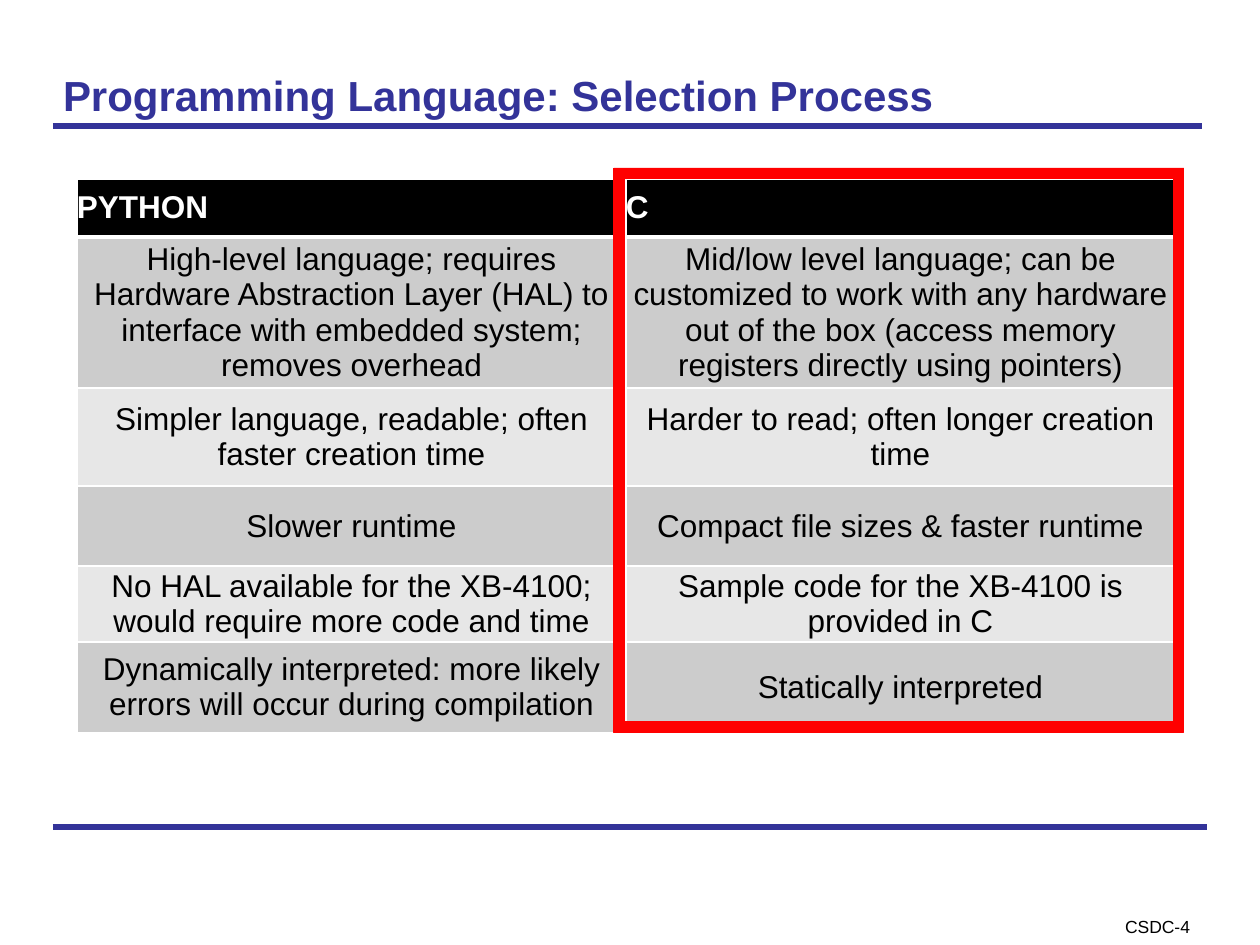
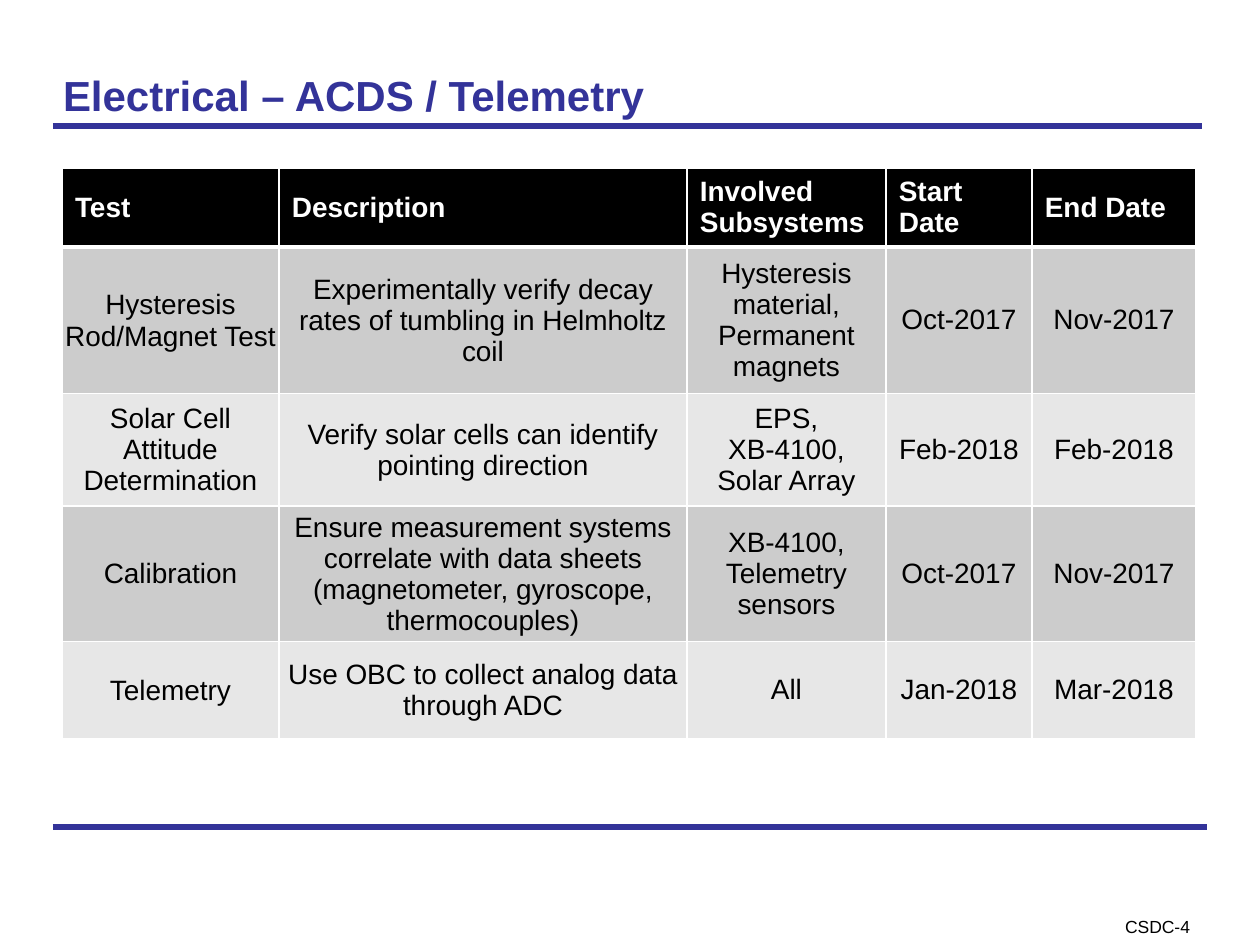
from dataclasses import dataclass

from lxml import etree
from pptx import Presentation, util as u
from pptx.dml.color import RGBColor
from pptx.enum import shapes, text
from pptx.oxml import ns

SCALE = u.Inches(1) / 126
FACE = "Arial"
HEX = {
    "navy": "333399",
    "black": "000000",
    "white": "FFFFFF",
    "dark": "CCCCCC",
    "light": "E7E7E7",
    "red": "FF0000",
}
WIDE = 13
HIGH = 6


@dataclass(frozen=True)
class Box:
    left: int
    top: int
    width: int
    height: int

    def emu(self) -> tuple[int, ...]:
        return tuple(map(px, (self.left, self.top, self.width, self.height)))


@dataclass(frozen=True)
class Rule:
    left: int
    right: int
    y: int


@dataclass(frozen=True)
class Grid:
    left: int
    top: int
    cols: list[int]
    rows: list[int]
    size: int
    inset: int
    tight: set[tuple[int, int]]
    cells: list[list[str]]


@dataclass(frozen=True)
class Page:
    title: str
    grid: Grid
    frame: Box | None = None


RULES = [Rule(53, 1207, 827), Rule(53, 1202, 126)]
TITLE = Box(60, 56, 1137, 78)
FOOTER = Box(1090, 916, 135, 18)

CHOICE = Grid(
    77, 179, [549, 549], [58, 123, 98, 80, 62, 91], 18, 0, set(),
    [
        ["PYTHON", "C"],
        ["High-level language; requires Hardware Abstraction Layer (HAL) to interface "
         "with embedded system; removes overhead",
         "Mid/low level language; can be customized to work with any hardware out of the "
         "box (access memory registers directly using pointers)"],
        ["Simpler language, readable; often faster creation time",
         "Harder to read; often longer creation time"],
        ["Slower runtime", "Compact file sizes & faster runtime"],
        ["No HAL available for the XB-4100; would require more code and time",
         "Sample code for the XB-4100 is provided in C"],
        ["Dynamically interpreted: more likely errors will occur during compilation",
         "Statically interpreted"],
    ],
)

TESTS = Grid(
    62, 168, [217, 408, 199, 146, 164], [76, 108, 108, 98, 97], 16, WIDE,
    {(1, 0), (1, 1), (2, 1), (3, 0), (3, 1), (4, 0), (4, 1)},
    [
        ["Test", "Description", "Involved Subsystems", "Start Date", "End Date"],
        ["Hysteresis Rod/Magnet Test",
         "Experimentally verify decay rates of tumbling in Helmholtz coil",
         "Hysteresis material, Permanent magnets", "Oct-2017", "Nov-2017"],
        ["Solar Cell Attitude Determination",
         "Verify solar cells can identify pointing direction",
         "EPS, XB-4100, Solar Array", "Feb-2018", "Feb-2018"],
        ["Calibration",
         "Ensure measurement systems correlate with data sheets (magnetometer, "
         "gyroscope, thermocouples)",
         "XB-4100, Telemetry sensors", "Oct-2017", "Nov-2017"],
        ["Telemetry", "Use OBC to collect analog data through ADC", "All",
         "Jan-2018", "Mar-2018"],
    ],
)

PAGES = [
    Page("Programming Language: Selection Process", CHOICE, Box(614, 168, 570, 564)),
    Page("Electrical – ACDS / Telemetry", TESTS),
]


def px(n: int) -> int:
    return round(n * SCALE)


def tint(name: str) -> RGBColor:
    return RGBColor.from_string(HEX[name])


def pad(item, side: int, top: int, base: int) -> None:
    item.margin_left = item.margin_right = px(side)
    item.margin_top, item.margin_bottom = px(top), px(base)


def write(frame, words: str, size: int, color: str, bold: bool, align) -> None:
    frame.text = words
    para = frame.paragraphs[0]
    para.alignment = align
    font = para.font
    font.name, font.size, font.bold = FACE, u.Pt(size), bold
    font.color.rgb = tint(color)


def set_face(deck) -> None:
    for root in (deck.element, deck.slide_master.element):
        for latin in root.iter(ns.qn("a:latin")):
            latin.set("typeface", FACE)


def draw_rule(slide, rule: Rule) -> None:
    y = px(rule.y)
    line = slide.shapes.add_connector(
        shapes.MSO_CONNECTOR.STRAIGHT, px(rule.left), y, px(rule.right), y)
    line.line.color.rgb = tint("navy")
    line.line.width = u.Pt(3)
    etree.SubElement(line._element.spPr, ns.qn("a:effectLst"))


def draw_base(slide, title: str) -> None:
    for rule in RULES:
        draw_rule(slide, rule)
    foot = slide.shapes.add_textbox(*FOOTER.emu()).text_frame
    foot.word_wrap = True
    pad(foot, 10, 0, 0)
    write(foot, "CSDC-4", 10, "black", False, text.PP_ALIGN.CENTER)
    head = slide.shapes.title
    head.left, head.top, head.width, head.height = TITLE.emu()
    frame = head.text_frame
    frame.auto_size = text.MSO_AUTO_SIZE.NONE
    frame.vertical_anchor = text.MSO_ANCHOR.MIDDLE
    pad(frame, 3, HIGH, HIGH)
    write(frame, title, 24, "navy", True, text.PP_ALIGN.LEFT)


def edge(cell, row: int) -> None:
    props = cell._tc.get_or_add_tcPr()
    widths = {"L": 1, "R": 1, "T": 3 if row == 1 else 1, "B": 3 if row == 0 else 1}
    for side, width in widths.items():
        line = etree.SubElement(props, ns.qn(f"a:ln{side}"), w=str(u.Pt(width)))
        fill = etree.SubElement(line, ns.qn("a:solidFill"))
        etree.SubElement(fill, ns.qn("a:srgbClr"), val=HEX["white"])


def draw_grid(slide, grid: Grid) -> None:
    box = Box(grid.left, grid.top, sum(grid.cols), sum(grid.rows))
    table = slide.shapes.add_table(
        len(grid.rows), len(grid.cols), *box.emu()).table
    for col, width in zip(table.columns, grid.cols):
        col.width = px(width)
    for row, height in zip(table.rows, grid.rows):
        row.height = px(height)
    for r, line in enumerate(grid.cells):
        head = r == 0
        shade = "black" if head else "dark" if r % 2 else "light"
        align = text.PP_ALIGN.LEFT if head else text.PP_ALIGN.CENTER
        for c, words in enumerate(line):
            cell = table.cell(r, c)
            edge(cell, r)
            cell.fill.solid()
            cell.fill.fore_color.rgb = tint(shade)
            cell.vertical_anchor = text.MSO_ANCHOR.MIDDLE
            if (r, c) in grid.tight:
                pad(cell, 1, 1, 0)
            else:
                high = HIGH if grid.inset else 0
                pad(cell, grid.inset, high, high)
            write(cell.text_frame, words, grid.size,
                  "white" if head else "black", head, align)


def draw_frame(slide, box: Box) -> None:
    ring = slide.shapes.add_shape(shapes.MSO_SHAPE.FRAME, *box.emu())
    ring.adjustments[0] = 0.019
    ring.shadow.inherit = False
    ring.fill.solid()
    ring.fill.fore_color.rgb = tint("red")
    ring.line.color.rgb = tint("red")
    ring.line.width = u.Pt(0.5)


def main() -> None:
    deck = Presentation()
    deck.slide_width, deck.slide_height = px(1260), px(945)
    set_face(deck)
    for page in PAGES:
        slide = deck.slides.add_slide(deck.slide_layouts[5])
        draw_base(slide, page.title)
        draw_grid(slide, page.grid)
        if page.frame:
            draw_frame(slide, page.frame)
    deck.save("out.pptx")


if __name__ == "__main__":
    main()
